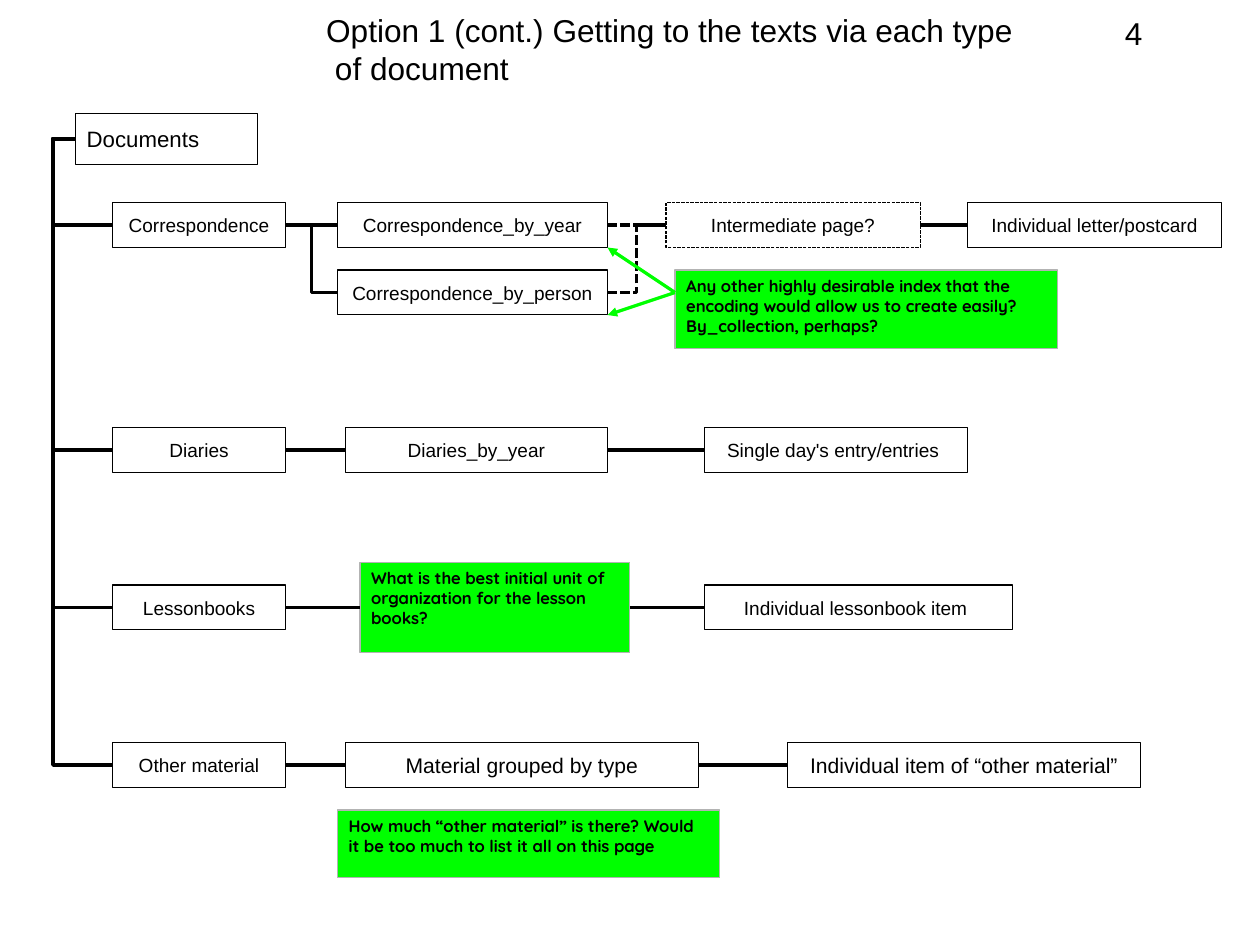
import pptx
import pptx.dml.color
import pptx.enum.dml
import pptx.enum.shapes
import pptx.enum.text
import pptx.oxml
import pptx.oxml.ns
import pptx.util
from lxml import etree

RGBColor = pptx.dml.color.RGBColor
BLACK = RGBColor(0x00, 0x00, 0x00)
GREEN = RGBColor(0x00, 0xFF, 0x00)
GREY = RGBColor(0xB3, 0xB3, 0xB3)

ALIGN = pptx.enum.text.PP_ALIGN
ANCHOR = pptx.enum.text.MSO_ANCHOR
KIND = pptx.enum.shapes.MSO_CONNECTOR
DASH = pptx.enum.dml.MSO_LINE.SQUARE_DOT
TOP, LEFT, BOTTOM, RIGHT = range(4)

COLS, ROWS = 56, 42
BOX_ROWS = 2
SPINE = 2.35

HEADINGS = [
    (14, 0.25, 37, 4, ["Option 1 (cont.) Getting to the texts via each type", " of document"]),
    (49.5, 0.35, 6, 2.6, ["4"]),
]

BOXES = {
    "correspondence": (5, 9, 7.7, 12, "Correspondence"),
    "diaries": (5, 19, 7.7, 12, "Diaries"),
    "lessonbooks": (5, 26, 7.7, 12, "Lessonbooks"),
    "other": (5, 33, 7.7, 12, "Other material"),
    "by_year": (15, 9, 12, 12, "Correspondence_by_year"),
    "by_person": (15, 12, 12, 12, "Correspondence_by_person"),
    "intermediate": (29.6, 9, 11.3, 12, "Intermediate page?"),
    "letter": (43, 9, 11.3, 12, "Individual letter/postcard"),
    "diaries_by_year": (15.35, 19, 11.65, 12, "Diaries_by_year"),
    "entry": (31.3, 19, 11.7, 12, "Single day's entry/entries "),
    "lessonbook_item": (31.3, 26, 13.7, 12, "Individual lessonbook item "),
    "by_type": (15.35, 33, 15.7, 13.3, "Material grouped by type"),
    "other_item": (35, 33, 15.7, 13.3, "Individual item of “other material”"),
}

QUESTIONS = {
    "lesson_question": (16, 25, 12, 4, [
        "What is the best initial unit of organization for the lesson books?"]),
    "other_question": (15, 36, 17, 3, [
        "How much “other material” is there? Would it be too much to list it all on this page"]),
    "index_question": (30, 12, 17, 3.5, [
        "Any other highly desirable index that the encoding would allow us to create easily?",
        "By_collection, perhaps?"]),
}

BRANCHES = ["correspondence", "diaries", "lessonbooks", "other"]
CHAINS = [
    ["correspondence", "by_year", "intermediate", "letter"],
    ["diaries", "diaries_by_year", "entry"],
    ["lessonbooks", "lesson_question", "lessonbook_item"],
    ["other", "by_type", "other_item"],
]
ELBOWS = [("correspondence", "by_person"), ("by_person", "intermediate")]

prs = pptx.Presentation()
prs.slide_width = pptx.util.Cm(28)
prs.slide_height = pptx.util.Cm(21)
s = prs.slides.add_slide(prs.slide_layouts[6])


def x(cols):
    return round(prs.slide_width * cols / COLS)


def y(rows):
    return round(prs.slide_height * rows / ROWS)


def write(sp, lines, size, font="Arial", bold=False, align=ALIGN.LEFT, anchor=ANCHOR.TOP):
    tf = sp.text_frame
    tf.word_wrap = True
    tf.vertical_anchor = anchor
    for i, line in enumerate(lines):
        p = tf.paragraphs[0] if i == 0 else tf.add_paragraph()
        p.alignment = align
        r = p.add_run()
        r.text = line
        r.font.name = font
        r.font.size = pptx.util.Pt(size)
        r.font.bold = bold
        r.font.color.rgb = BLACK


def rect(col, row, cols, rows, line, fill=None):
    sp = s.shapes.add_shape(pptx.enum.shapes.MSO_SHAPE.RECTANGLE, x(col), y(row), x(cols), y(rows))
    sp.shadow.inherit = False
    if fill is None:
        sp.fill.background()
    else:
        sp.fill.solid()
        sp.fill.fore_color.rgb = fill
    sp.line.color.rgb = line
    sp.line.width = 0
    return sp


def connector(kind, start, end, color=BLACK):
    c = s.shapes.add_connector(kind, *start, *end)
    c.line.color.rgb = color
    c.line.width = 0
    etree.SubElement(c._element.spPr, pptx.oxml.ns.qn("a:effectLst"))
    return c


def join(kind, a, a_side, b, b_side):
    c = connector(kind, (0, 0), (0, 0))
    c.begin_connect(a, a_side)
    c.end_connect(b, b_side)
    return c


def link(kind, a, b):
    c = join(kind, shapes[a], RIGHT, shapes[b], LEFT)
    if b == "intermediate":
        c.line.dash_style = DASH


for *place, lines in HEADINGS:
    write(s.shapes.add_textbox(*(f(v) for f, v in zip((x, y, x, y), place))), lines, 19.9)

documents = rect(3.35, 5.05, 8.1, 2.25, BLACK)
write(documents, ["Documents"], 14, anchor=ANCHOR.MIDDLE)

shapes = {}
for name, (col, row, cols, size, label) in BOXES.items():
    shapes[name] = rect(col, row, cols, BOX_ROWS, BLACK)
    write(shapes[name], [label], size, align=ALIGN.CENTER, anchor=ANCHOR.MIDDLE)
shapes["intermediate"].line.dash_style = DASH

for name, (col, row, cols, rows, lines) in QUESTIONS.items():
    shapes[name] = rect(col, row, cols, rows, GREY, GREEN)
    write(shapes[name], lines, 10.5, "Quicksand", True)

for name in BRANCHES:
    branch = shapes[name]
    c = join(KIND.ELBOW, documents, LEFT, branch, LEFT)
    bend = (x(SPINE) - documents.left) / (branch.left - documents.left)
    guides = c._element.spPr.find(pptx.oxml.ns.qn("a:prstGeom")).get_or_add_avLst()
    etree.SubElement(guides, pptx.oxml.ns.qn("a:gd"), name="adj1", fmla=f"val {round(bend * 100000)}")

for chain in CHAINS:
    for a, b in zip(chain, chain[1:]):
        link(KIND.STRAIGHT, a, b)
for a, b in ELBOWS:
    link(KIND.ELBOW, a, b)

for name in ("by_year", "by_person"):
    target = shapes[name]
    corner = (target.left + target.width, target.top + target.height)
    c = connector(KIND.STRAIGHT, (shapes["index_question"].left, y(13)), corner, GREEN)
    etree.SubElement(c.line._get_or_add_ln(), pptx.oxml.ns.qn("a:tailEnd"), type="triangle")

prs.save("out.pptx")
